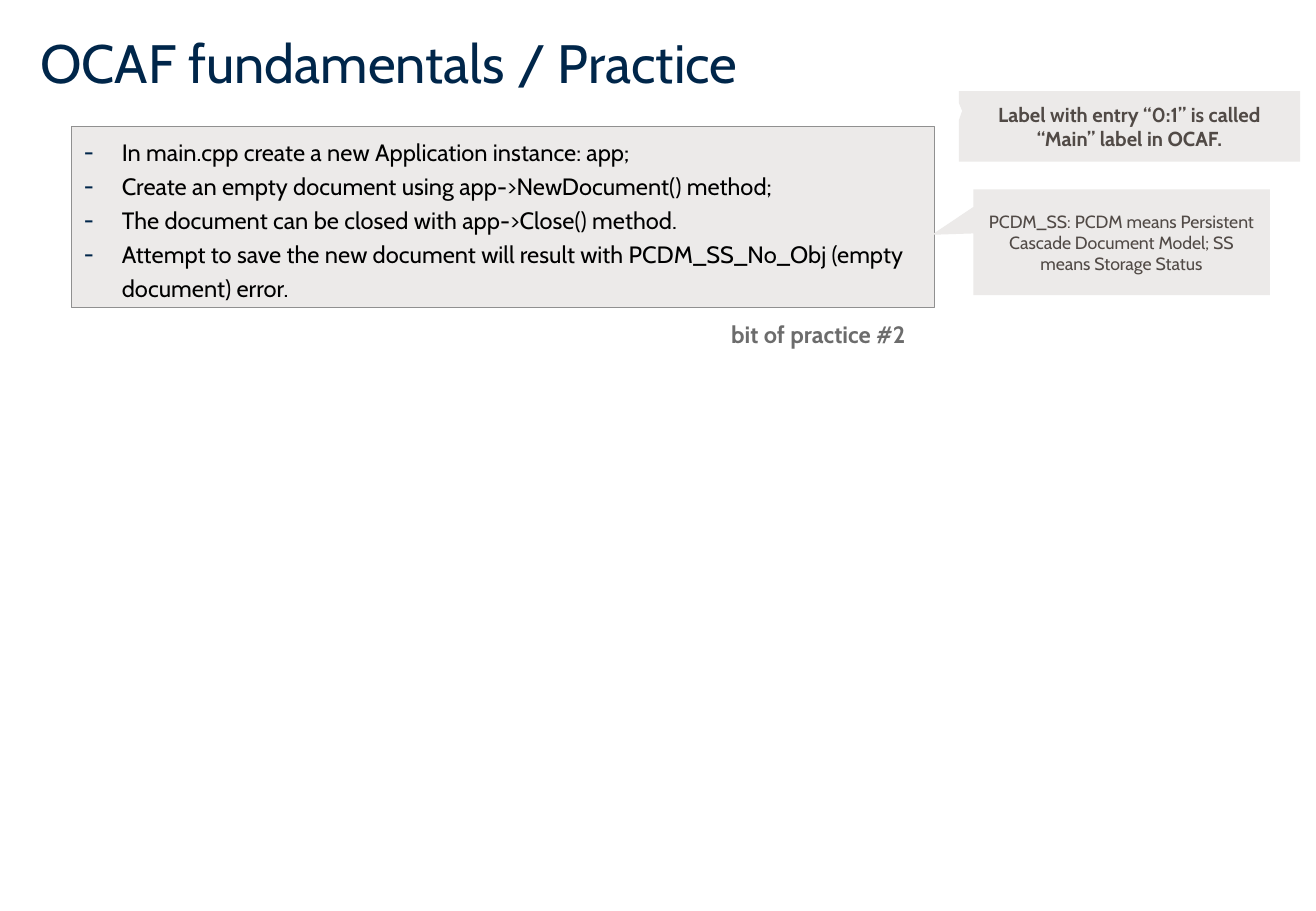
from lxml import etree
from pptx import Presentation
from pptx import util as u
from pptx.dml.color import RGBColor
from pptx.enum import shapes, text
from pptx.oxml import ns

NAVY = RGBColor(0x00, 0x26, 0x4A)
BLACK = RGBColor(0x00, 0x00, 0x00)
PALE = RGBColor(0xEC, 0xEA, 0xE9)
BORDER = RGBColor(0x90, 0x90, 0x90)
GRAY = RGBColor(0x6C, 0x6C, 0x6C)
BROWN = RGBColor(0x51, 0x4A, 0x46)
LEFT, CENTER = text.PP_ALIGN.LEFT, text.PP_ALIGN.CENTER
TOP, MIDDLE = text.MSO_ANCHOR.TOP, text.MSO_ANCHOR.MIDDLE

STEPS = [
    "In main.cpp create a new Application instance: app;",
    "Create an empty document using app->NewDocument() method;",
    "The document can be closed with app->Close() method.",
    "Attempt to save the new document will result with PCDM_SS_No_Obj (empty document) error.",
]


def apply(obj, values):
    """Set every attribute of the dict on the object."""
    for name, value in values.items():
        setattr(obj, name, value)


def place(sp, left, top, width, height):
    """Position a shape, with lengths in points."""
    apply(sp, {"left": u.Pt(left), "top": u.Pt(top),
               "width": u.Pt(width), "height": u.Pt(height)})


def write(sp, lines, size, color, spacing=1.0, align=LEFT, anchor=TOP, bold=False, wrap=True):
    """Fill a shape with formatted paragraphs."""
    tf = sp.text_frame
    apply(tf, {"auto_size": text.MSO_AUTO_SIZE.NONE, "word_wrap": wrap,
               "vertical_anchor": anchor})
    tf.text = "\n".join(lines)
    for p in tf.paragraphs:
        apply(p, {"alignment": align, "line_spacing": spacing,
                  "space_before": u.Pt(0), "space_after": u.Pt(0)})
        for r in p.runs:
            apply(r.font, {"name": "Cabin", "size": u.Pt(size), "bold": bold})
            r.font.color.rgb = color


def add_dash(p, indent):
    """Give a paragraph a navy dash bullet with a hanging indent."""
    pPr = p._p.get_or_add_pPr()
    pPr.set("marL", str(u.Pt(indent)))
    pPr.set("indent", str(-u.Pt(indent)))
    color = etree.SubElement(pPr, ns.qn("a:buClr"))
    etree.SubElement(color, ns.qn("a:srgbClr"), val=str(NAVY))
    etree.SubElement(pPr, ns.qn("a:buFont"), typeface="Cabin")
    etree.SubElement(pPr, ns.qn("a:buChar"), char="-")


def fill(sp, color):
    """Give a shape a solid fill."""
    sp.fill.solid()
    sp.fill.fore_color.rgb = color


def format_title(sp, title):
    """Place and write the slide title."""
    place(sp, 0, 0, 779.76, 79.2)
    apply(sp.text_frame, {"margin_left": u.Pt(23.8), "margin_right": u.Pt(13),
                          "margin_top": u.Pt(2.9), "margin_bottom": u.Pt(2.9)})
    write(sp, [title], 32, NAVY, spacing=0.85, anchor=MIDDLE)


def format_steps(sp, steps):
    """Place and write the framed list of steps."""
    place(sp, 42.5, 74.9, 511.2, 107.3)
    fill(sp, PALE)
    sp.line.color.rgb = BORDER
    sp.line.width = u.Pt(0.75)
    write(sp, steps, 14, BLACK, spacing=1.2)
    for p in sp.text_frame.paragraphs:
        add_dash(p, 22.5)


def add_caption(s, caption):
    """Add the caption under the list."""
    sp = s.shapes.add_textbox(0, 0, 0, 0)
    place(sp, 426.2, 182.9, 127.4, 27.4)
    write(sp, [caption], 14, GRAY, spacing=1.2, bold=True, wrap=False)


def add_callout(s, box, tip, note, size, bold=False):
    """Add a pale callout whose tip is relative to its centre."""
    sp = s.shapes.add_shape(shapes.MSO_SHAPE.RECTANGULAR_CALLOUT, 0, 0, 0, 0)
    place(sp, *box)
    sp.adjustments[0], sp.adjustments[1] = tip
    sp.shadow.inherit = False
    fill(sp, PALE)
    sp.line.fill.background()
    write(sp, [note], size, BROWN, align=CENTER, anchor=MIDDLE, bold=bold)


def main():
    """Build the slide and save it."""
    prs = Presentation()
    apply(prs, {"slide_width": u.Pt(779.76), "slide_height": u.Pt(540)})
    s = prs.slides.add_slide(prs.slide_layouts[1])
    format_title(s.shapes.title, "OCAF fundamentals / Practice")
    format_steps(s.placeholders[1], STEPS)
    add_caption(s, "bit of practice #2")
    add_callout(s, (576.7, 112.3, 175.7, 62.6), (-0.64, -0.07),
                "PCDM_SS: PCDM means Persistent Cascade Document Model; SS means Storage Status", 10.5)
    add_callout(s, (568.1, 54, 202.3, 41.8), (-0.49, -0.22),
                "Label with entry “0:1” is called “Main” label in OCAF.", 12, bold=True)
    prs.save("out.pptx")


if __name__ == "__main__":
    main()
